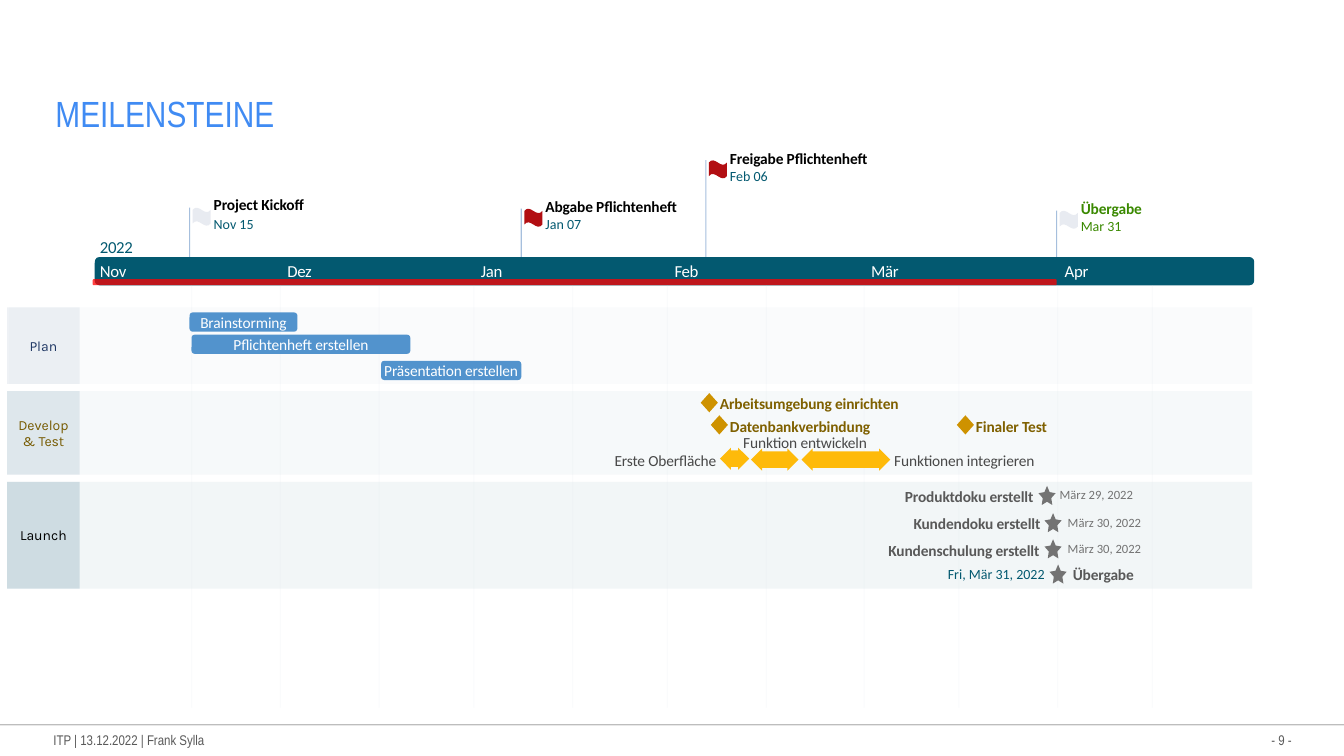
from lxml import etree
from pptx import Presentation
from pptx.dml.color import RGBColor
from pptx.enum.shapes import MSO_CONNECTOR, MSO_SHAPE
from pptx.enum.text import MSO_ANCHOR, PP_ALIGN
from pptx.oxml.ns import qn
from pptx.util import Inches, Pt

RECT, ROUND = MSO_SHAPE.RECTANGLE, MSO_SHAPE.ROUNDED_RECTANGLE
WAVE, STAR, GEM = MSO_SHAPE.WAVE, MSO_SHAPE.STAR_5_POINT, MSO_SHAPE.DIAMOND
ARROW, LINE = MSO_SHAPE.LEFT_RIGHT_ARROW, MSO_CONNECTOR.STRAIGHT
LEFT, MID, RIGHT = PP_ALIGN.LEFT, PP_ALIGN.CENTER, PP_ALIGN.RIGHT


class Theme:
    title, teal, white, black = "408BF3", "035970", "FFFFFF", "000000"
    stem, grid, task, done = "4F81BD", "DEE5EC", "5293CD", "FF0000"
    gem, gold, arrow, work = "CE9200", "7F6000", "FEBA0A", "484848"
    star, launch, foot, green = "737373", "595959", "595959", "3A8900"
    pale, red = "E8EBF1", "B20E12"
    body, head, lane = "Calibri", "Arial Narrow", "Karla"
    big, month, label, date, small = 26, 12, 11, 10, 9
    track = {12: "-20", 11: "-10"}  # letter spacing by type size


CELL = Inches(0.1)  # grid of square cells, 133.3 columns by 75 rows
COLS, ROWS = 133.3, 75

deck = Presentation()
deck.slide_width, deck.slide_height = int(COLS * CELL), int(ROWS * CELL)
slide = deck.slides.add_slide(deck.slide_layouts[5])
shapes = slide.shapes


def draw(kind, box, color, alpha=100, width=0.75):
    """Add a filled shape, or a line running along the box's diagonal."""
    x, y, w, h = [int(n * CELL) for n in box]
    if kind is LINE:
        item = shapes.add_connector(LINE, x, y, x + w, y + h)
        item.line.width = Pt(width)
        paint = item.line.fill
    else:
        item = shapes.add_shape(kind, x, y, w, h)
        item.shadow.inherit = False
        item.line.fill.background()
        paint = item.fill
    paint.solid()
    paint.fore_color.rgb = RGBColor.from_string(color)
    props = item._element.spPr
    if kind is LINE:
        etree.SubElement(props, qn("a:effectLst"))
    if alpha < 100:
        tint = props.find(".//" + qn("a:srgbClr"))
        etree.SubElement(tint, qn("a:alpha")).set("val", str(alpha * 1000))
    return item


def write(place, text, size, color, align=LEFT, bold=False, face=Theme.body, wrap=True):
    """Write text into a shape, or into a new text box at the given cells."""
    if isinstance(place, tuple):
        place = shapes.add_textbox(*[int(n * CELL) for n in place])
    frame = place.text_frame
    frame.word_wrap = wrap
    frame.vertical_anchor = MSO_ANCHOR.MIDDLE
    frame.margin_left = frame.margin_right = frame.margin_top = frame.margin_bottom = 0
    for i, row in enumerate(text.split("\n")):
        para = frame.add_paragraph() if i else frame.paragraphs[0]
        para.alignment = align
        run = para.add_run()
        run.text = row
        run.font.size, run.font.name, run.font.bold = Pt(size), face, bold
        run.font.color.rgb = RGBColor.from_string(color)
        if size in Theme.track:
            run._r.get_or_add_rPr().set("spc", Theme.track[size])


# Title and footer
title = shapes.title
title.left, title.top, title.width, title.height = [
    int(n * CELL) for n in (5.5, 4.6, 122.8, 8.8)]
write(title, "MEILENSTEINE", Theme.big, Theme.title, face=Theme.head)
title.text_frame.vertical_anchor = MSO_ANCHOR.BOTTOM
draw(LINE, (0, 71.9, COLS, 0), Theme.black, 25, 1)
write((5.3, 72.6, 16.5, 1.7), "ITP | 13.12.2022 | Frank Sylla",
      Theme.date, Theme.foot, face=Theme.head)
write((124, 72.6, 4.1, 1.7), "- 9 -", Theme.date, Theme.foot, RIGHT, face=Theme.head)

# Swim lanes: left, top, height, fill, label, label colour
for x, y, h, fill, name, ink in [
    (0.9, 30.5, 7.6, "DEE5EC", "Plan", "203864"),
    (0.7, 38.8, 8.3, "C8D7E0", "Develop\n& Test", "765A00"),
    (0.7, 47.8, 10.6, "ABC4CF", "Launch", "000000"),
]:
    draw(RECT, (x, y, 124.2 - x, h), fill, 15)
    cap = draw(RECT, (0.7, y, 7.2, h), fill, 50)
    write(cap, name, Theme.date, ink, MID, face=Theme.lane)

# Milestones: stem column, stem top, label row, date row, flag, name, date, inks
for x, y, top, low, flag, name, day, ink, tone in [
    (18.8, 20.6, 19.3, 21.4, Theme.pale, "Project Kickoff", "Nov 15", Theme.black, Theme.teal),
    (51.7, 20.7, 19.5, 21.4, Theme.red, "Abgabe Pflichtenheft", "Jan 07", Theme.black, Theme.teal),
    (70, 15.9, 14.8, 16.6, Theme.red, "Freigabe Pflichtenheft", "Feb 06", Theme.black, Theme.teal),
    (104.8, 20.9, 19.7, 21.6, Theme.pale, "Übergabe", "Mar 31", Theme.green, Theme.green),
]:
    draw(LINE, (x, y, 0, 25.5 - y), Theme.stem, 50)
    draw(WAVE, (x + 0.3, y, 1.8, 1.8), flag)
    write((x + 2.4, top, 15, 1.9), name, Theme.label, ink, bold=True)
    write((x + 2.4, low, 5, 1.7), day, Theme.date, tone)

# Time axis with half-month grid
draw(ROUND, (9.4, 25.5, 115, 2.8), Theme.teal)
for x in (19, 27.8, 37.6, 47, 56.8, 66.2, 76, 85.7, 95.1, 104.9, 114.3):
    draw(LINE, (x, 28.3, 0, 41.9), Theme.grid, 15)
draw(ROUND, (9.2, 27.7, 95.6, 0.6), Theme.done, 75)
for x, name in [(9.9, "Nov"), (28.5, "Dez"), (47.7, "Jan"),
                (66.9, "Feb"), (86.4, "Mär"), (105.6, "Apr")]:
    write((x, 25.9, 4, 1.9), name, Theme.month, Theme.white)
write((9.9, 23.5, 4, 2), "2022", Theme.month, Theme.teal)

# Plan tasks
for x, y, w, name in [
    (18.8, 31, 10.7, "Brainstorming"),
    (19, 33.2, 21.7, "Pflichtenheft erstellen"),
    (37.8, 35.8, 13.9, "Präsentation erstellen"),
]:
    bar = draw(ROUND, (x, y, w, 1.9), Theme.task)
    write(bar, name, Theme.label, Theme.white, MID, wrap=False)

# Development steps
for x, y, w in [(71.4, 44.4, 2.9), (74.5, 44.5, 4.7), (79.5, 44.5, 8.8)]:
    step = draw(ARROW, (x, y, w, 2.2), Theme.arrow)
    step.adjustments[0], step.adjustments[1] = 0.75, 0.5
for x, y, w, name in [
    (60.9, 44.7, 10.2, "Erste Oberfläche"),
    (73.3, 42.9, 13.1, "Funktion entwickeln"),
    (88, 44.7, 15.3, "Funktionen integrieren"),
]:
    write((x, y, w, 1.9), name, Theme.label, Theme.work, MID)
for x, y, w, name in [
    (69.5, 39, 19.7, "Arbeitsumgebung einrichten"),
    (70.5, 41.2, 15, "Datenbankverbindung"),
    (94.9, 41.2, 8.5, "Finaler Test"),
]:
    draw(GEM, (x, y, 1.7, 1.9), Theme.gem)
    write((x + 1.9, y + 0.1, w, 1.9), name, Theme.label, Theme.gold, bold=True)

# Launch events: star column, row, label's right edge, name, date column and row
for x, y, end, name, col, row, day in [
    (103, 48.2, 102.5, "Produktdoku erstellt", 105.1, 48.3, "März 29, 2022"),
    (103.6, 50.9, 103.2, "Kundendoku erstellt", 105.9, 51.1, "März 30, 2022"),
    (103.6, 53.5, 103.1, "Kundenschulung erstellt", 105.9, 53.7, "März 30, 2022"),
    (104.1, 56, None, "Übergabe", 92.7, 56.1, "Fri, Mär 31, 2022"),
]:
    mark = draw(STAR, (x, y, 1.7, 1.9), Theme.star)
    mark.adjustments[0] = 0.25
    if end:
        write((end - 16, y + 0.1, 16, 1.9), name, Theme.label, Theme.launch, RIGHT, True)
        write((col, row, 9.4, 1.5), day, Theme.small, Theme.star)
    else:
        write((x + 2.3, y, 11.5, 1.9), name, Theme.label, Theme.launch, bold=True)
        write((col, row, 10.9, 1.7), day, Theme.date, Theme.teal, RIGHT)

deck.save("out.pptx")
